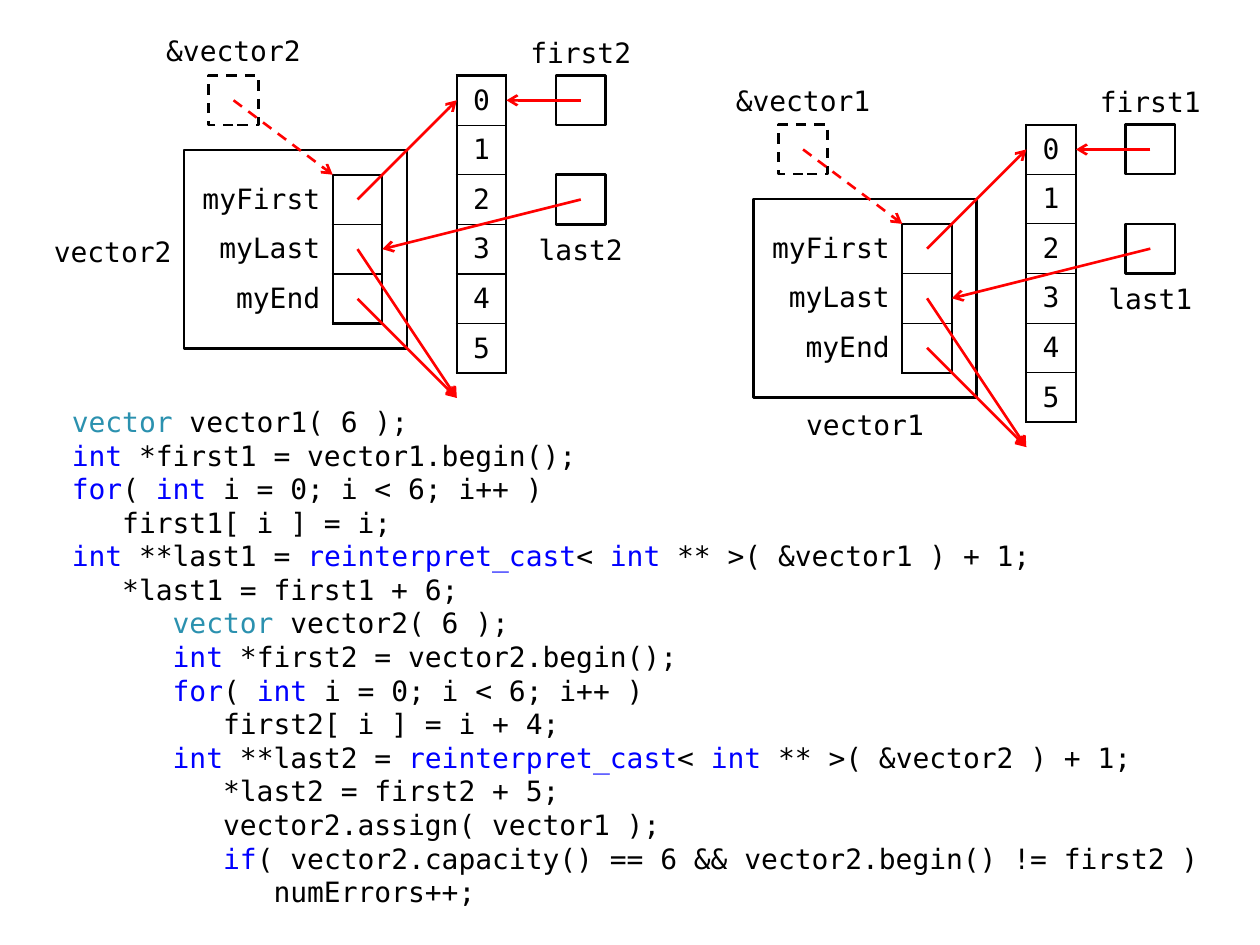
from itertools import groupby

from lxml import etree
from pptx import Presentation
from pptx.dml.color import RGBColor
from pptx.enum.dml import MSO_LINE
from pptx.enum.shapes import MSO_CONNECTOR, MSO_SHAPE
from pptx.enum.text import MSO_ANCHOR, MSO_AUTO_SIZE, PP_ALIGN
from pptx.oxml.ns import qn
from pptx.util import Inches, Pt

BLACK = RGBColor(0x00, 0x00, 0x00)
WHITE = RGBColor(0xFF, 0xFF, 0xFF)
RED = RGBColor(0xFF, 0x00, 0x00)
BLUE = RGBColor(0x00, 0x00, 0xFF)
TEAL = RGBColor(0x2B, 0x91, 0xAF)

DASH = MSO_LINE.DASH
STRAIGHT = MSO_CONNECTOR.STRAIGHT
RECTANGLE = MSO_SHAPE.RECTANGLE
MIDDLE, BOTTOM = MSO_ANCHOR.MIDDLE, MSO_ANCHOR.BOTTOM
CENTER, RIGHT = PP_ALIGN.CENTER, PP_ALIGN.RIGHT
NO_AUTOFIT = MSO_AUTO_SIZE.NONE

FONT = "DejaVu Sans Mono"
FONT_SIZE = Pt(16)
THICK, THIN = 1.5, 0.75
PLAIN_TABLE_STYLE = "{2D5ABB26-0587-4C30-8999-92F81FD0307C}"
GRID = 1 / 2.54  # the diagrams sit on a one-centimetre grid

WORD_COLORS = {"vector": TEAL, "int": BLUE, "for": BLUE, "if": BLUE,
               "reinterpret_cast": BLUE}
CODE = """\
vector vector1( 6 );
int *first1 = vector1.begin();
for( int i = 0; i < 6; i++ )
   first1[ i ] = i;
int **last1 = reinterpret_cast< int ** >( &vector1 ) + 1;
   *last1 = first1 + 6;
      vector vector2( 6 );
      int *first2 = vector2.begin();
      for( int i = 0; i < 6; i++ )
         first2[ i ] = i + 4;
      int **last2 = reinterpret_cast< int ** >( &vector2 ) + 1;
         *last2 = first2 + 5;
         vector2.assign( vector1 );
         if( vector2.capacity() == 6 && vector2.begin() != first2 )
            numErrors++;"""


def add_run(paragraph, text, color=BLACK):
    run = paragraph.add_run()
    run.text = text
    run.font.name = FONT
    run.font.size = FONT_SIZE
    run.font.color.rgb = color


def set_borders(cell, **widths):
    """Draw black cell borders; the sides are L, R, T and B, in points."""
    properties = cell._tc.get_or_add_tcPr()
    for side, width in widths.items():
        line = etree.SubElement(properties, qn(f"a:ln{side}"), w=str(Pt(width)))
        fill = etree.SubElement(line, qn("a:solidFill"))
        etree.SubElement(fill, qn("a:srgbClr"), val=str(BLACK))


def fill_cell(cell, text, alignment, margins):
    cell.fill.background()
    cell.vertical_anchor = MIDDLE
    (cell.margin_left, cell.margin_top,
     cell.margin_right, cell.margin_bottom) = map(Inches, margins)
    paragraph = cell.text_frame.paragraphs[0]
    paragraph.alignment = alignment
    paragraph.font.size = FONT_SIZE
    if text:
        add_run(paragraph, text)


class VectorDiagram:
    """A vector with its elements and pointers, in grid units from its box."""

    def __init__(self, slide, left, top):
        self.shapes = slide.shapes
        self.left, self.top = left, top

    def point(self, x, y):
        return Inches(self.left + x * GRID), Inches(self.top + y * GRID)

    def size(self, width, height):
        return Inches(width * GRID), Inches(height * GRID)

    def box(self, x, y, width=1, height=1, fill=None, dash=None):
        shape = self.shapes.add_shape(
            RECTANGLE, *self.point(x, y), *self.size(width, height))
        shape.shadow.inherit = False
        if fill is None:
            shape.fill.background()
        else:
            shape.fill.solid()
            shape.fill.fore_color.rgb = fill
        shape.line.color.rgb = BLACK
        shape.line.width = Pt(THICK)
        if dash:
            shape.line.dash_style = dash

    def label(self, text, x, y, width, anchor=BOTTOM, alignment=CENTER, side=0.1):
        text_box = self.shapes.add_textbox(*self.point(x, y), *self.size(width, 1))
        frame = text_box.text_frame
        frame.word_wrap = True
        frame.vertical_anchor = anchor
        frame.margin_left = frame.margin_right = Inches(side)
        frame.paragraphs[0].alignment = alignment
        add_run(frame.paragraphs[0], text)

    def arrow(self, start, end, dash=None):
        connector = self.shapes.add_connector(
            STRAIGHT, *self.point(*start), *self.point(*end))
        connector.line.color.rgb = RED
        connector.line.width = Pt(THICK)
        if dash:
            connector.line.dash_style = dash
        line = connector.line._get_or_add_ln()
        etree.SubElement(line, qn("a:tailEnd"), type="arrow")
        etree.SubElement(connector._element.spPr, qn("a:effectLst"))

    def table(self, x, y, rows, column_widths):
        frame = self.shapes.add_table(
            rows, len(column_widths), *self.point(x, y),
            *self.size(sum(column_widths), rows))
        table = frame.table
        table.first_row = table.horz_banding = False
        table._tbl.tblPr.find(qn("a:tableStyleId")).text = PLAIN_TABLE_STYLE
        for column, width in zip(table.columns, column_widths):
            column.width = Inches(width * GRID)
        return table

    def cell_column(self, table, column, texts, margins):
        last = len(texts) - 1
        for row, text in enumerate(texts):
            cell = table.cell(row, column)
            set_borders(cell, L=THICK, R=THICK,
                        T=THIN if row else THICK,
                        B=THIN if row < last else THICK)
            fill_cell(cell, text, CENTER, margins)

    def draw(self, number, name_position, name_width, name_alignment):
        # Vector object with its three member pointers
        self.box(0, 0, 4.5, 4, fill=WHITE)
        members = ["myFirst", "myLast", "myEnd"]
        table = self.table(0, 0.5, len(members), [3, 1])
        for row, member in enumerate(members):
            fill_cell(table.cell(row, 0), member, RIGHT, (0.04, 0.04, 0.1, 0.04))
        self.cell_column(table, 1, [""] * len(members), (0.04, 0.04, 0.1, 0.04))
        self.label(f"vector{number}", *name_position, name_width,
                   alignment=name_alignment)

        # Element array
        elements = [str(index) for index in range(6)]
        table = self.table(5.5, -1.5, len(elements), [1])
        self.cell_column(table, 0, elements, (0.1, 0, 0.1, 0))

        # Address of the vector
        self.box(0.5, -1.5, dash=DASH)
        self.label(f"&vector{number}", -1, -2.5, 4, anchor=MIDDLE)
        self.arrow((1, -1), (3, 0.5), dash=DASH)

        # Pointers held by the members
        for row, target in enumerate([-1, 5, 5], start=1):
            self.arrow((3.5, row), (5.5, target))

        # Outside pointers
        self.label(f"first{number}", 6.5, -2.5, 3)
        self.box(7.5, -1.5)
        self.arrow((8, -1), (6.5, -1))
        self.label(f"last{number}", 7, 1.5, 2, anchor=MIDDLE, side=0)
        self.box(7.5, 0.5)
        self.arrow((8, 1), (4, 2))


def add_code(placeholder, left, top, width, height):
    placeholder.left, placeholder.top = Inches(left), Inches(top)
    placeholder.width, placeholder.height = Inches(width), Inches(height)
    frame = placeholder.text_frame
    frame.auto_size = NO_AUTOFIT
    for index, line in enumerate(CODE.splitlines()):
        paragraph = frame.add_paragraph() if index else frame.paragraphs[0]
        properties = paragraph._p.get_or_add_pPr()
        properties.set("marL", "0")
        properties.set("indent", "0")
        etree.SubElement(properties, qn("a:buNone"))
        paragraph.space_before = Pt(0)
        words = ["".join(group) for _, group in
                 groupby(line, lambda letter: letter.isalnum() or letter == "_")]
        for color, group in groupby(words, lambda word: WORD_COLORS.get(word, BLACK)):
            add_run(paragraph, "".join(group), color)


def main():
    presentation = Presentation()
    presentation.slide_width, presentation.slide_height = Inches(10), Inches(7.5)
    slide = presentation.slides.add_slide(presentation.slide_layouts[1])
    title = slide.shapes.title._element
    title.getparent().remove(title)
    add_code(slide.placeholders[1], 0.47, 3.16, 9.25, 4.13)
    VectorDiagram(slide, 5.98, 1.58).draw(1, (0.5, 4), 3.5, CENTER)
    VectorDiagram(slide, 1.46, 1.19).draw(2, (-3, 1.5), 3, RIGHT)
    presentation.save("out.pptx")


if __name__ == "__main__":
    main()
